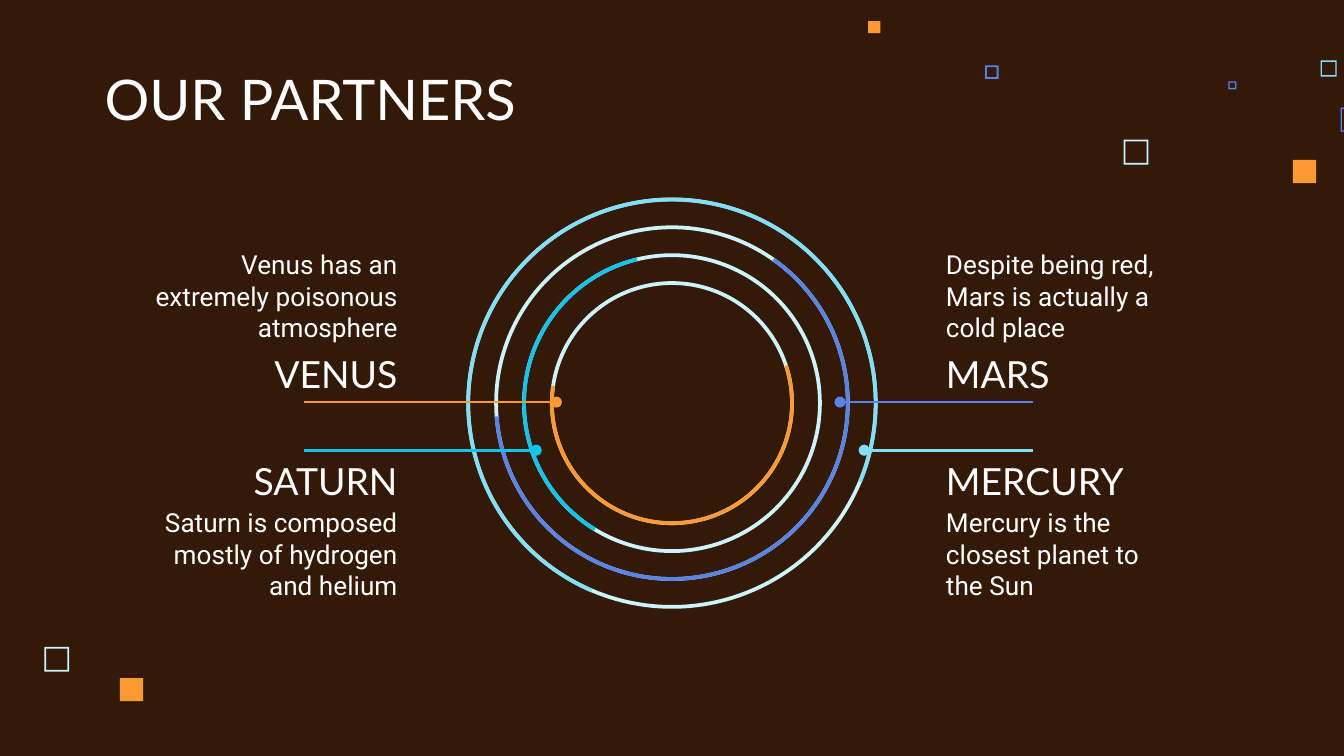
import pptx
import pptx.util
import pptx.dml.color
import pptx.enum.shapes
import pptx.enum.text
import pptx.oxml
import pptx.oxml.ns

SHAPE = pptx.enum.shapes.MSO_SHAPE
ANCHOR = pptx.enum.text.MSO_ANCHOR
ALIGN = pptx.enum.text.PP_ALIGN

WHITE, ICE, AQUA = "FFFFFF", "CDF4FD", "83DFF5"
BLUE, CYAN, ORANGE = "5983E4", "10C4EB", "FF9A32"


def rgb(value):
    return pptx.dml.color.RGBColor.from_string(value)


class SlidePainter:
    """Draws styled elements on a grid of 100 columns, with square cells."""

    def __init__(self, deck, background):
        self.cell = deck.slide_width / 100
        self.slide = deck.slides.add_slide(deck.slide_layouts[6])
        self.slide.background.fill.solid()
        self.slide.background.fill.fore_color.rgb = rgb(background)

    def grid(self, *cells):
        return [pptx.util.Emu(round(count * self.cell)) for count in cells]

    def shape(self, preset, left, top, size, color, adjustments=(), rotation=0):
        figure = self.slide.shapes.add_shape(preset, *self.grid(left, top, size, size))
        figure.shadow.inherit = False
        figure.fill.solid()
        figure.fill.fore_color.rgb = rgb(color)
        figure.line.fill.background()
        figure.rotation = rotation
        for index, value in enumerate(adjustments):
            figure.adjustments[index] = value

    def square(self, left, top, size, color, border):
        if border:
            self.shape(SHAPE.FRAME, left, top, size, color, [border / size])
        else:
            self.shape(SHAPE.RECTANGLE, left, top, size, color)

    def ring(self, center, diameter, color, arc=None, rotation=0):
        left, top = (middle - diameter / 2 for middle in center)
        thickness = 0.28 / diameter
        if arc:
            self.shape(SHAPE.BLOCK_ARC, left, top, diameter, color, [*arc, thickness], rotation)
        else:
            self.shape(SHAPE.DONUT, left, top, diameter, color, [thickness])

    def text(self, words, left, top, width, height, font, size, anchor, align=ALIGN.LEFT):
        frame = self.slide.shapes.add_textbox(*self.grid(left, top, width, height)).text_frame
        frame.word_wrap = True
        frame.vertical_anchor = anchor
        frame.margin_left = frame.margin_right = pptx.util.Inches(0.1)
        frame.margin_top = frame.margin_bottom = pptx.util.Inches(0.1)
        paragraph = frame.paragraphs[0]
        paragraph.text = words
        paragraph.alignment = align
        paragraph.font.name = font
        paragraph.font.size = pptx.util.Pt(size)
        paragraph.font.color.rgb = rgb(WHITE)

    def pointer(self, start, end, row, color):
        pointer = self.slide.shapes.add_connector(
            pptx.enum.shapes.MSO_CONNECTOR.STRAIGHT, *self.grid(start, row, end, row))
        pointer.line.color.rgb = rgb(color)
        pointer.line.width = pptx.util.Pt(1.5)
        dot = pptx.oxml.parse_xml(f'<a:tailEnd {pptx.oxml.ns.nsdecls("a")} type="oval"/>')
        pointer.line._get_or_add_ln().append(dot)
        effects = pptx.oxml.parse_xml(f'<a:effectLst {pptx.oxml.ns.nsdecls("a")}/>')
        pointer._element.spPr.append(effects)


def main():
    deck = pptx.Presentation()
    deck.slide_width = pptx.util.Inches(10)
    deck.slide_height = deck.slide_width * 9 // 16
    painter = SlidePainter(deck, "331907")

    for left, top, size, color, border in [
        (83.6, 10.4, 1.85, ICE, 0.13),
        (98.25, 4.5, 1.2, AQUA, 0.1),
        (91.4, 6.05, 0.6, BLUE, 0.1),
        (99.75, 8, 1.8, BLUE, 0.1),
        (96.2, 11.9, 1.73, ORANGE, 0),
        (73.3, 4.87, 1, BLUE, 0.13),
        (64.6, 1.57, 0.9, ORANGE, 0),
        (3.3, 48.13, 1.85, ICE, 0.13),
        (8.92, 50.45, 1.73, ORANGE, 0),
    ]:
        painter.square(left, top, size, color, border)

    painter.text("OUR PARTNERS", 6.8, 4.5, 51.7, 6.3, "Lato", 30, ANCHOR.BOTTOM)

    upper = (25.13, ANCHOR.TOP, 19.4, ANCHOR.BOTTOM)
    lower = (31.3, ANCHOR.BOTTOM, 36.7, ANCHOR.TOP)
    left_side, right_side = (9.97, ALIGN.RIGHT), (69.4, ALIGN.LEFT)
    for name, fact, side, band, fact_left, fact_width in [
        ("VENUS", "Venus has an extremely poisonous atmosphere", left_side, upper, 9.57, 21),
        ("MARS", "Despite being red, Mars is actually a cold place", right_side, upper, 69.4, 20.6),
        ("SATURN", "Saturn is composed mostly of hydrogen and helium", left_side, lower, 9.97, 20.6),
        ("MERCURY", "Mercury is the closest planet to the Sun", right_side, lower, 69.4, 18.1),
    ]:
        name_left, align = side
        name_top, name_anchor, fact_top, fact_anchor = band
        painter.text(name, name_left, name_top, 20.6, 7.1, "Lato", 20, name_anchor, align)
        painter.text(fact, fact_left, fact_top, fact_width, 7.1, "Roboto", 14, fact_anchor, align)

    center = (50, 30)
    diameters = [30.6 - 4.15 * step for step in range(4)]
    for diameter in diameters:
        painter.ring(center, diameter, ICE)
    progress = [
        (AQUA, (157.91, 103.6), 210),
        (BLUE, (183.14, 105.39), 0),
        (CYAN, (24.12, 105.1), 81.2),
        (ORANGE, (197.21, 105.1), 13.1),
    ]
    for diameter, (color, arc, rotation) in zip(diameters, progress):
        painter.ring(center, diameter, color, arc, rotation)

    for start, end, row, color in [
        (22.6, 41.4, 29.92, ORANGE),
        (22.6, 39.9, 33.5, CYAN),
        (76.85, 62.5, 29.92, BLUE),
        (76.85, 64.3, 33.5, AQUA),
    ]:
        painter.pointer(start, end, row, color)

    deck.save("out.pptx")


if __name__ == "__main__":
    main()
